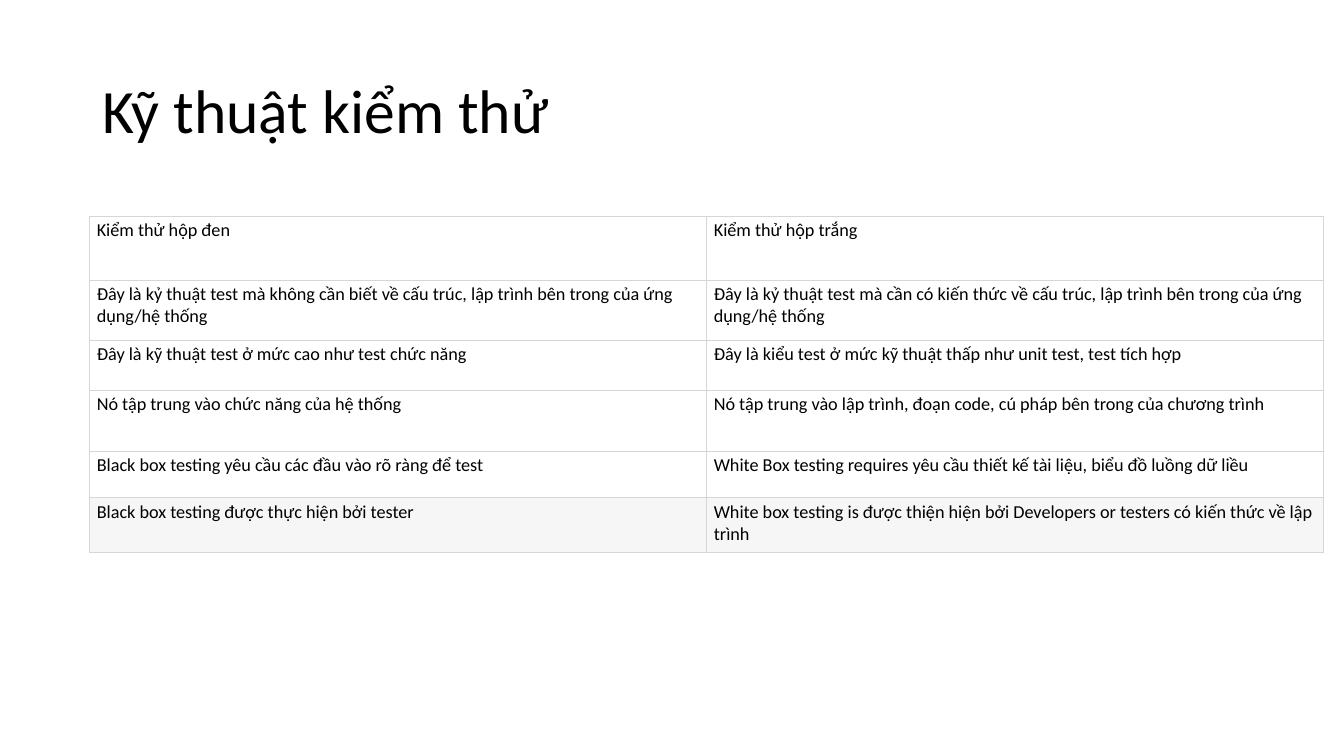
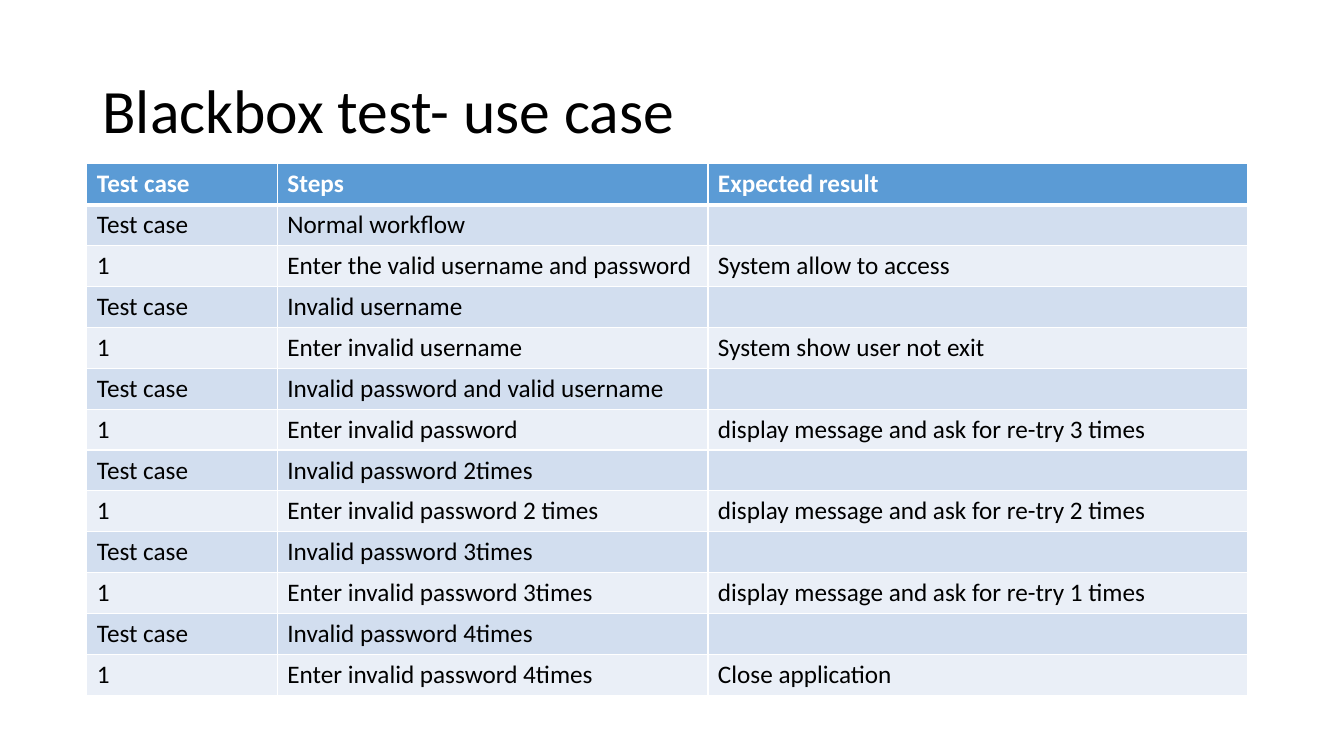
import pptx
import pptx.util
import pptx.dml.color
import pptx.enum.text
import pptx.oxml
import pptx.oxml.ns
from lxml import etree

Cm, Pt = pptx.util.Cm, pptx.util.Pt

COLORS = {
    "text": "000000",
    "white": "FFFFFF",
    "grid": "D6D6D7",
    "last_row": "F6F6F7",
    "header": "5B9BD5",
    "case_row": "D2DEEF",
    "step_row": "EAEFF7",
}
FONT = "Calibri"
TITLE_BOX = (2.33, 1.01, 29.21, 3.68)

TECHNIQUES = [
    ("Kiểm thử hộp đen", "Kiểm thử hộp trắng"),
    ("Đây là kỷ thuật test mà không cần biết về cấu trúc, lập trình bên trong của ứng dụng/hệ thống",
     "Đây là kỷ thuật test mà cần có kiến thức về cấu trúc, lập trình bên trong của ứng dụng/hệ thống"),
    ("Đây là kỹ thuật test ở mức cao như test chức năng",
     "Đây là kiểu test ở mức kỹ thuật thấp như unit test, test tích hợp"),
    ("Nó tập trung vào chức năng của hệ thống",
     "Nó tập trung vào lập trình, đoạn code, cú pháp bên trong của chương trình"),
    ("Black box testing yêu cầu các đầu vào rõ ràng để test",
     "White Box testing requires yêu cầu thiết kế tài liệu, biểu đồ luồng dữ liều"),
    ("Black box testing được thực hiện bởi tester",
     "White box testing is được thiện hiện bởi Developers or testers có kiến thức về lập trình"),
]

# Scenario, step, expected result
USE_CASES = [
    ("Normal workflow", "Enter the valid username and password", "System allow to access"),
    ("Invalid username", "Enter invalid username", "System show user not exit"),
    ("Invalid password and valid username", "Enter invalid password",
     "display message and ask for re-try 3 times"),
    ("Invalid password 2times", "Enter invalid password 2 times",
     "display message and ask for re-try 2 times"),
    ("Invalid password 3times", "Enter invalid password 3times",
     "display message and ask for re-try 1 times"),
    ("Invalid password 4times", "Enter invalid password 4times", "Close application"),
]


def rgb(name):
    return pptx.dml.color.RGBColor.from_string(COLORS[name])


def write(tf, text, size=18, color="text", bold=False, spacing=None):
    p = tf.paragraphs[0]
    p.alignment = pptx.enum.text.PP_ALIGN.LEFT
    p.line_spacing = spacing
    p.font.size = Pt(size)
    if text:
        r = p.add_run()
        r.text = text
        r.font.name, r.font.size, r.font.bold = FONT, Pt(size), bold
        r.font.color.rgb = rgb(color)


def add_titled_slide(prs, title):
    s = prs.slides.add_slide(prs.slide_layouts[5])
    sp = s.shapes.title
    sp.left, sp.top, sp.width, sp.height = map(Cm, TITLE_BOX)
    tf = sp.text_frame
    tf.word_wrap = True
    tf.auto_size = pptx.enum.text.MSO_AUTO_SIZE.NONE
    tf.vertical_anchor = pptx.enum.text.MSO_ANCHOR.MIDDLE
    write(tf, title, size=44, spacing=0.9)
    return s


def set_borders(cell, color, widths):
    """Draw the four cell edges; widths are points for left, right, top, bottom."""
    tcPr = cell._tc.get_or_add_tcPr()
    qn = pptx.oxml.ns.qn
    for side, width in zip("LRTB", widths):
        ln = etree.SubElement(tcPr, qn(f"a:ln{side}"), w=str(Pt(width)))
        fill = etree.SubElement(ln, qn("a:solidFill"))
        etree.SubElement(fill, qn("a:srgbClr"), val=COLORS[color])


def add_grid(s, left, top, col_widths, row_heights, rows, fills, border, width,
             header_rule=None, margins=None, size=18, header=None):
    """Place a table; header holds the text format of its first row."""
    frame = s.shapes.add_table(len(rows), len(col_widths), Cm(left), Cm(top),
                               Cm(sum(col_widths)), Cm(sum(row_heights)))
    table = frame.table
    table.horz_banding = False
    table.first_row = header is not None
    for column, w in zip(table.columns, col_widths):
        column.width = Cm(w)
    for i, (row, height, texts, fill) in enumerate(zip(table.rows, row_heights, rows, fills)):
        row.height = Cm(height)
        rule = header_rule or width
        edges = (width, width, rule if i == 1 else width, rule if i == 0 else width)
        style = (header or {}) if i == 0 else {}
        for cell, text in zip(row.cells, texts):
            set_borders(cell, border, edges)
            cell.fill.solid()
            cell.fill.fore_color.rgb = rgb(fill)
            if margins:
                x, y = margins
                cell.margin_left = cell.margin_right = Cm(x)
                cell.margin_top = cell.margin_bottom = Cm(y)
            write(cell.text_frame, text, size=size, **style)


def add_techniques_slide(prs):
    s = add_titled_slide(prs, "Kỹ thuật kiểm thử")
    add_grid(s, 2.26, 5.45, [15.55] * 2, [1.61, 1.51, 1.27, 1.53, 1.17, 1.37], TECHNIQUES,
             fills=["white"] * 5 + ["last_row"], border="grid", width=0.75,
             margins=(0.18, 0.08), size=13)


def add_use_case_slide(prs):
    s = add_titled_slide(prs, "Blackbox test- use case")
    rows = [("Test case", "Steps", "Expected result")]
    for scenario, step, result in USE_CASES:
        rows += [("Test case", scenario, ""), ("1", step, result)]
    add_grid(s, 2.19, 4.13, [4.8, 10.85, 13.59], [1.03] * len(rows), rows,
             fills=["header"] + ["case_row", "step_row"] * len(USE_CASES),
             border="white", width=1, header_rule=3,
             header={"color": "white", "bold": True})


def main():
    prs = pptx.Presentation()
    prs.slide_width, prs.slide_height = Cm(33.87), Cm(19.05)
    add_techniques_slide(prs)
    add_use_case_slide(prs)
    prs.save("out.pptx")


if __name__ == "__main__":
    main()
